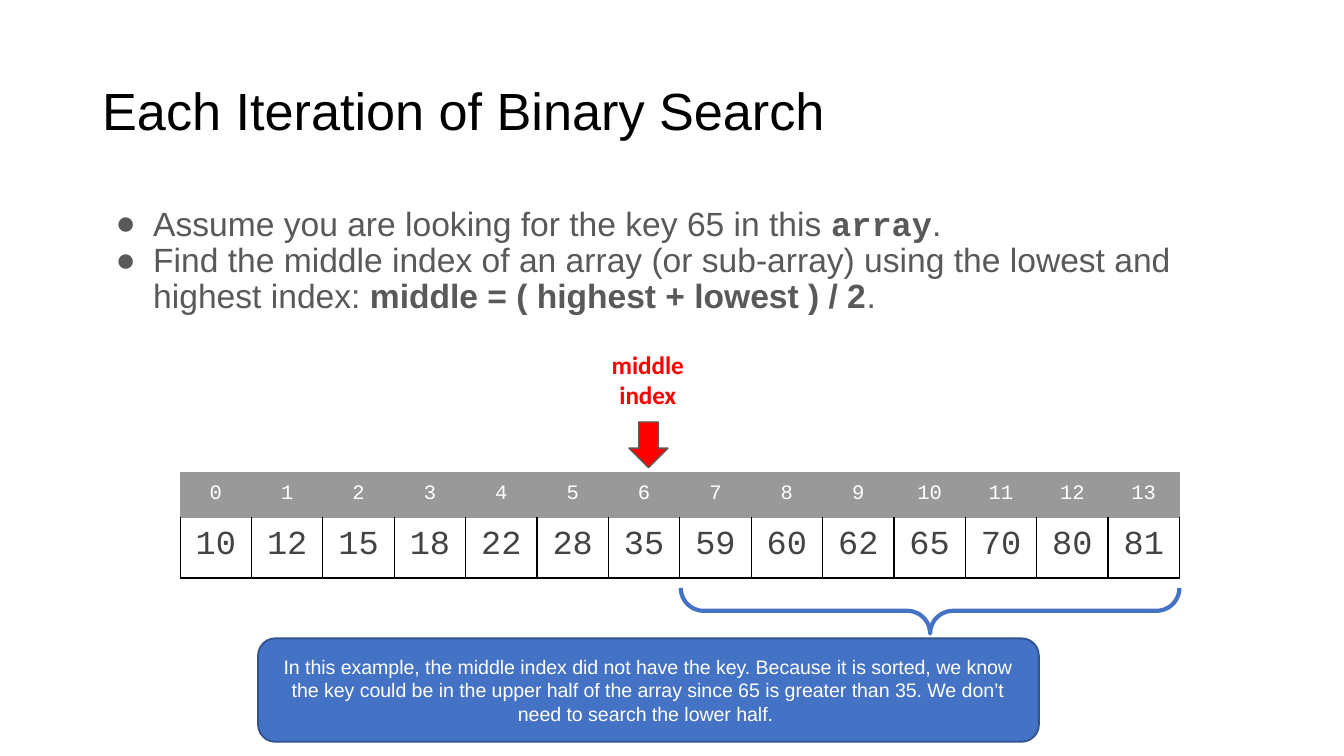
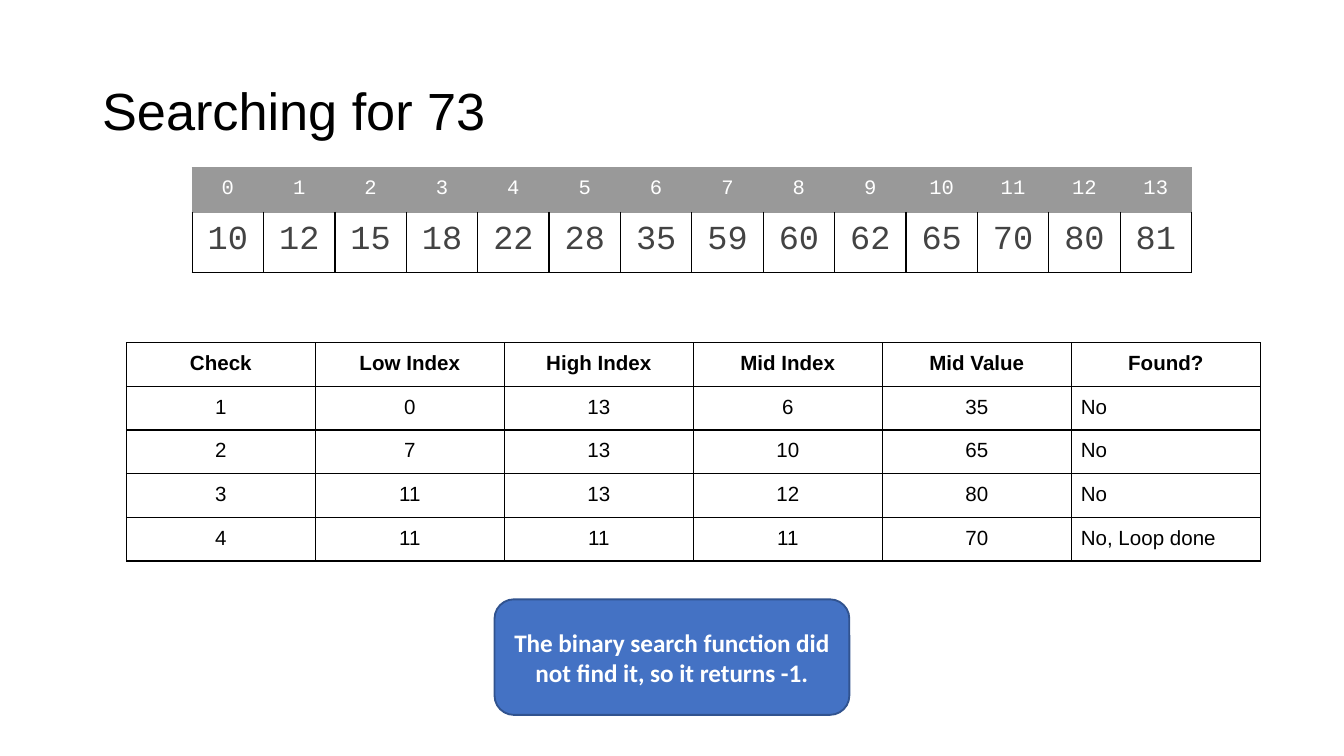
from lxml.etree import SubElement
from pptx import Presentation
from pptx.dml.color import RGBColor
from pptx.enum.shapes import MSO_SHAPE as Preset
from pptx.enum.text import MSO_ANCHOR as Anchor, MSO_AUTO_SIZE as AutoSize, PP_ALIGN as Align
from pptx.oxml.ns import qn
from pptx.util import Inches, Pt

BLACK, WHITE, RED = "000000", "FFFFFF", "FF0000"
GRAY, BODY_GRAY, VALUE_GRAY = "999999", "595959", "434343"
BLUE, DARK_BLUE = "4472C4", "31538F"
SANS, MONO, LABEL = "Arial", "Courier New", "Calibri"

TITLES = ["Each Iteration of Binary Search", "Searching for 73"]
TITLE_BOX = (0.69, 0.3, 8.62, 1.09)
BULLETS_BOX = (0.69, 1.5, 8.62, 3.57)
BULLETS = [
    [("Assume you are looking for the key 65 in this ", SANS, False),
     ("array", MONO, True), (". ", SANS, False)],
    [("Find the middle index of an array (or sub-array) using the lowest and highest index: ",
      SANS, False),
     ("middle = ( highest + lowest ) / 2", SANS, True), (". ", SANS, False)],
]
ARRAY = [10, 12, 15, 18, 22, 28, 35, 59, 60, 62, 65, 70, 80, 81]
ARRAY_WIDTH, ARRAY_ROWS = 7.44, (0.33, 0.45)
CHECKS = [
    ("Check", "Low Index", "High Index", "Mid Index", "Mid Value", "Found?"),
    (1, 0, 13, 6, 35, "No"),
    (2, 7, 13, 10, 65, "No"),
    (3, 11, 13, 12, 80, "No"),
    (4, 11, 11, 11, 70, "No, Loop done"),
]
UPPER_HALF_NOTE = (
    "In this example, the middle index did not have the key. Because it is sorted, we know "
    "the key could be in the upper half of the array since 65 is greater than 35. "
    "We don\u2019t need to search the lower half. ")
RESULT_NOTE = "The binary search function did not find it, so it returns -1."


def color(value):
    return RGBColor.from_string(value)


def box(values):
    return [Inches(value) for value in values]


def add_run(paragraph, text, size, font, ink, bold=False):
    run = paragraph.add_run()
    run.text = str(text)
    run.font.size = Pt(size)
    run.font.name = font
    run.font.bold = bold
    run.font.color.rgb = color(ink)


def set_frame(frame, anchor, vertical_inset=0.04):
    frame.word_wrap = True
    frame.auto_size = AutoSize.NONE
    frame.vertical_anchor = anchor
    frame.margin_left = frame.margin_right = Inches(0.07)
    frame.margin_top = frame.margin_bottom = Inches(vertical_inset)


def place(shape, bounds):
    shape.left, shape.top, shape.width, shape.height = box(bounds)


def add_slide(layout, heading):
    slide = deck.slides.add_slide(deck.slide_layouts[layout])
    title = slide.shapes.title
    place(title, TITLE_BOX)
    set_frame(title.text_frame, Anchor.MIDDLE)
    paragraph = title.text_frame.paragraphs[0]
    paragraph.alignment = Align.LEFT
    paragraph.line_spacing = 0.9
    add_run(paragraph, heading, 28, SANS, BLACK)
    return slide


def add_bullets(slide):
    body = slide.placeholders[1]
    place(body, BULLETS_BOX)
    set_frame(body.text_frame, Anchor.TOP)
    for index, runs in enumerate(BULLETS):
        paragraph = body.text_frame.add_paragraph() if index else body.text_frame.paragraphs[0]
        paragraph.line_spacing = 0.9
        paragraph.space_before = Pt(0 if index else 7.5)
        props = paragraph._p.get_or_add_pPr()
        props.set("marL", str(Inches(0.38)))
        props.set("indent", str(Inches(-0.28)))
        SubElement(SubElement(props, qn("a:buClr")), qn("a:srgbClr"), val=BODY_GRAY)
        SubElement(props, qn("a:buFont"), typeface=SANS)
        SubElement(props, qn("a:buChar"), char="\u25cf")
        for text, font, bold in runs:
            add_run(paragraph, text, 18, font, BODY_GRAY, bold)


def style_cell(cell, text, size, font, ink, bold=False, align=Align.CENTER,
               fill=None, edge=BLACK, top_edge=BLACK):
    cell.margin_left = cell.margin_right = Inches(0.07)
    cell.margin_top = cell.margin_bottom = Inches(0.07)
    props = cell._tc.get_or_add_tcPr()
    for side, ink_of_side in zip("LRTB", (edge, edge, top_edge, edge)):
        line = SubElement(props, qn("a:ln" + side), w=str(Pt(0.75)))
        SubElement(SubElement(line, qn("a:solidFill")), qn("a:srgbClr"), val=ink_of_side)
    if fill:
        cell.fill.solid()
        cell.fill.fore_color.rgb = color(fill)
    else:
        cell.fill.background()
    paragraph = cell.text_frame.paragraphs[0]
    paragraph.alignment = align
    add_run(paragraph, text, size, font, ink, bold)


def add_grid(slide, left, top, width, row_heights, columns):
    bounds = box((left, top, width, sum(row_heights)))
    table = slide.shapes.add_table(len(row_heights), columns, *bounds).table
    table.horz_banding = table.first_row = False
    for row, height in zip(table.rows, row_heights):
        row.height = Inches(height)
    for column in table.columns:
        column.width = Inches(width / columns)
    return table


def add_array(slide, left, top):
    table = add_grid(slide, left, top, ARRAY_WIDTH, ARRAY_ROWS, len(ARRAY))
    for index, value in enumerate(ARRAY):
        style_cell(table.cell(0, index), index, 11, MONO, WHITE,
                   fill=GRAY, edge=GRAY, top_edge=GRAY)
        style_cell(table.cell(1, index), value, 18, MONO, VALUE_GRAY, top_edge=GRAY)


def add_checks(slide):
    columns = len(CHECKS[0])
    table = add_grid(slide, 0.94, 2.55, 8.44, [0.325] * len(CHECKS), columns)
    for row, values in enumerate(CHECKS):
        for column, value in enumerate(values):
            is_verdict = row > 0 and column == columns - 1
            style_cell(table.cell(row, column), value, 11, SANS, BLACK, bold=row == 0,
                       align=Align.LEFT if is_verdict else Align.CENTER)


def add_preset(slide, preset, bounds, line, width, fill=None):
    shape = slide.shapes.add_shape(preset, *box(bounds))
    shape.shadow.inherit = False
    shape.line.color.rgb = color(line)
    shape.line.width = Pt(width)
    if fill:
        shape.fill.solid()
        shape.fill.fore_color.rgb = color(fill)
    else:
        shape.fill.background()
    return shape


def add_note(slide, bounds, text, size, font, bold=False):
    note = add_preset(slide, Preset.ROUNDED_RECTANGLE, bounds, DARK_BLUE, 1, BLUE)
    set_frame(note.text_frame, Anchor.MIDDLE)
    paragraph = note.text_frame.paragraphs[0]
    paragraph.alignment = Align.CENTER
    add_run(paragraph, text, size, font, WHITE, bold)


deck = Presentation()
deck.slide_width, deck.slide_height = box((10, 5.625))

iteration = add_slide(1, TITLES[0])
add_bullets(iteration)
add_array(iteration, 1.34, 3.52)
add_preset(iteration, Preset.DOWN_ARROW, (4.68, 3.14, 0.29, 0.34), BODY_GRAY, 0.75, RED)
middle_label = iteration.shapes.add_textbox(*box((4.33, 2.53, 0.98, 0.58))).text_frame
set_frame(middle_label, Anchor.TOP, 0.07)
middle_label.paragraphs[0].alignment = Align.CENTER
add_run(middle_label.paragraphs[0], "middle index", 13.5, LABEL, RED, True)
add_note(iteration, (1.92, 4.75, 5.81, 0.77), UPPER_HALF_NOTE, 10.5, SANS)
upper_half = add_preset(iteration, Preset.RIGHT_BRACE, (6.75, 2.69, 0.34, 3.71), BLUE, 2.25)
upper_half.rotation = 90
upper_half.adjustments[0] = upper_half.adjustments[1] = 0.5

search = add_slide(5, TITLES[1])
add_array(search, 1.43, 1.25)
add_checks(search)
add_note(search, (3.68, 4.46, 2.64, 0.86), RESULT_NOTE, 13.5, LABEL, True)

deck.save("out.pptx")
